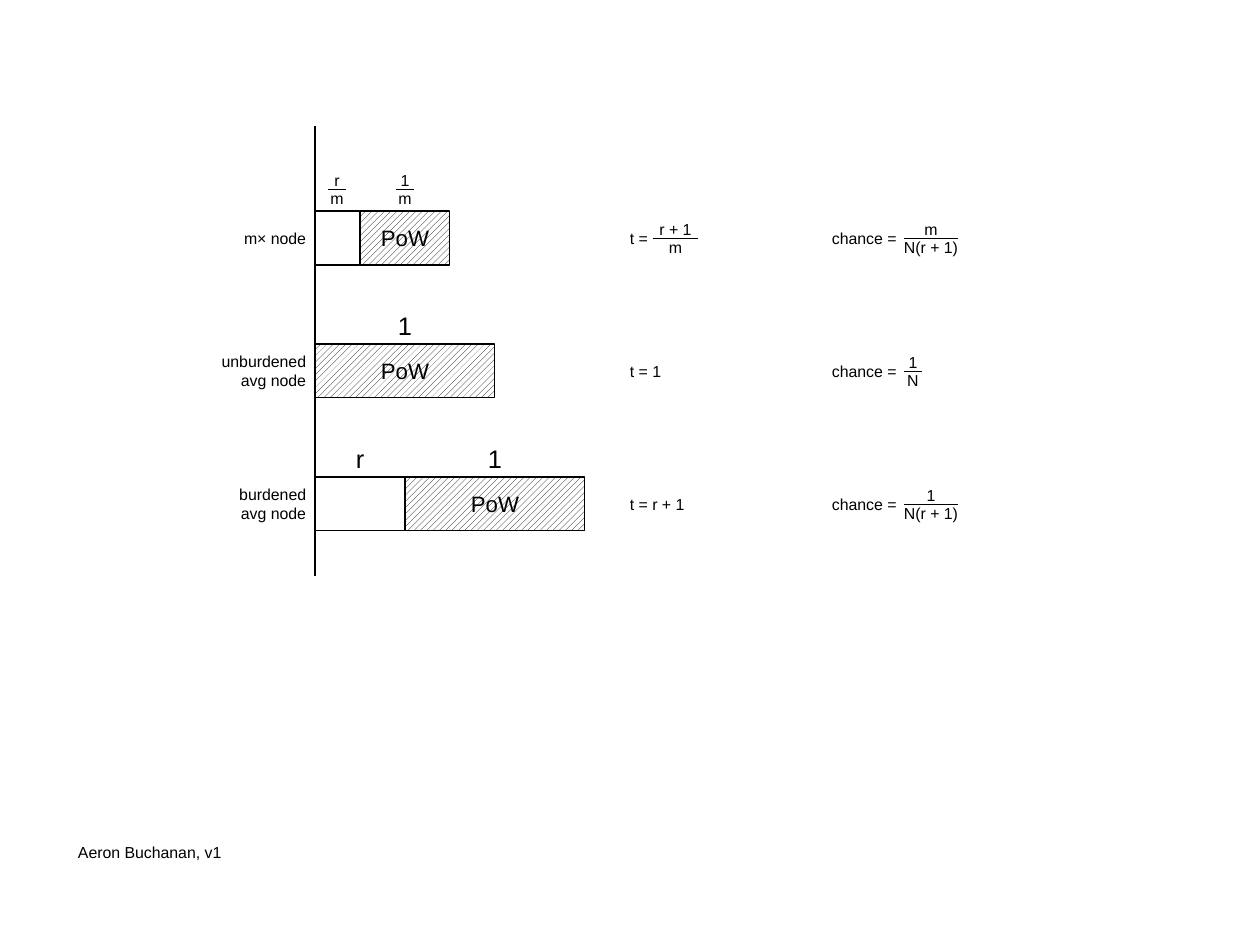
"""Draw the proof-of-work timing comparison of three kinds of node."""
import pptx
import pptx.util
import pptx.dml.color
import pptx.enum.dml
import pptx.enum.shapes
import pptx.enum.text
import pptx.oxml.ns
import lxml.etree

COLORS = {"ink": "000000", "paper": "FFFFFF"}
ALIGN = pptx.enum.text.PP_ALIGN


def px(n):
    return pptx.util.Emu(n * 8000)


def rgb(name):
    return pptx.dml.color.RGBColor.from_string(COLORS[name])


class Sketch:
    font, small, medium, large = "Arial", 10, 14, 16

    def __init__(self, slide):
        self.shapes = slide.shapes

    def label(self, sp, text, size, align):
        tf = sp.text_frame
        tf.margin_left = tf.margin_right = tf.margin_top = tf.margin_bottom = 0
        tf.word_wrap = True
        tf.vertical_anchor = pptx.enum.text.MSO_ANCHOR.MIDDLE
        p = tf.paragraphs[0]
        p.text = text
        p.alignment = align
        p.font.name, p.font.size = self.font, pptx.util.Pt(size)
        p.font.color.rgb = rgb("ink")

    def text(self, x, y, w, h, text, size=small, align=ALIGN.LEFT, shapes=None):
        sp = (shapes or self.shapes).add_textbox(px(x), px(y), px(w), px(h))
        self.label(sp, text, size, align)

    def line(self, x1, y1, x2, y2, width, shapes=None):
        kind = pptx.enum.shapes.MSO_CONNECTOR.STRAIGHT
        sp = (shapes or self.shapes).add_connector(kind, px(x1), px(y1), px(x2), px(y2))
        sp.line.color.rgb = rgb("ink")
        sp.line.width = pptx.util.Pt(width)
        lxml.etree.SubElement(sp._element.spPr, pptx.oxml.ns.qn("a:effectLst"))

    def bar(self, x, y, w, h, text=""):
        kind = pptx.enum.shapes.MSO_SHAPE.RECTANGLE
        sp = self.shapes.add_shape(kind, px(x), px(y), px(w), px(h))
        sp.shadow.inherit = False
        sp.line.color.rgb = rgb("ink")
        sp.line.width = 0
        if text:
            sp.fill.patterned()
            sp.fill.pattern = pptx.enum.dml.MSO_PATTERN.WIDE_UPWARD_DIAGONAL
            sp.fill.fore_color.rgb = rgb("ink")
            sp.fill.back_color.rgb = rgb("paper")
            self.label(sp, text, self.medium, ALIGN.CENTER)
        else:
            sp.fill.solid()
            sp.fill.fore_color.rgb = rgb("paper")

    def fraction(self, x, y, w, top, bottom):
        shapes = self.shapes.add_group_shape().shapes
        for part, part_y in ((top, y - 18), (bottom, y)):
            self.text(x - 18, part_y, w + 36, 18, part, align=ALIGN.CENTER, shapes=shapes)
        self.line(x, y, x + w, y, 0.57, shapes)


prs = pptx.Presentation()
prs.slide_width, prs.slide_height = px(1260), px(945)
s = Sketch(prs.slides.add_slide(prs.slide_layouts[6]))

AXIS, BAR_H, MIDDLE = 315, 54, 27
FIRST_ROW, ROW_STEP = 211, 133
NODES = [
    ("m× node", [(45, ("r", "m"), ""), (90, ("1", "m"), "PoW")],
     "t =", (45, "r + 1", "m"), (54, "m", "N(r + 1)")),
    ("unburdened avg node", [(180, "1", "PoW")],
     "t = 1", None, (18, "1", "N")),
    ("burdened avg node", [(90, "r", ""), (180, "1", "PoW")],
     "t = r + 1", None, (54, "1", "N(r + 1)")),
]

for row, (node, bars, time, time_fraction, chance_fraction) in enumerate(NODES):
    top = FIRST_ROW + row * ROW_STEP
    middle = top + MIDDLE
    s.text(216, middle - 18, 90, 36, node, align=ALIGN.RIGHT)
    x = AXIS
    for width, length, work in bars:
        s.bar(x, top, width, BAR_H, work)
        center = x + width // 2
        if isinstance(length, tuple):
            s.fraction(center - 9, top - 22, 18, *length)
        else:
            s.text(center - 18, top - 33, 36, 28, length, s.large, ALIGN.CENTER)
        x += width
    s.text(630, middle - 9, 135, 18, time)
    if time_fraction:
        s.fraction(653, middle, *time_fraction)
    s.text(832, middle - 9, 135, 18, "chance =")
    s.fraction(904, middle, *chance_fraction)

s.line(AXIS, 126, AXIS, 576, 1.42)
s.text(78, 843, 294, 18, "Aeron Buchanan, v1")
prs.save("out.pptx")
